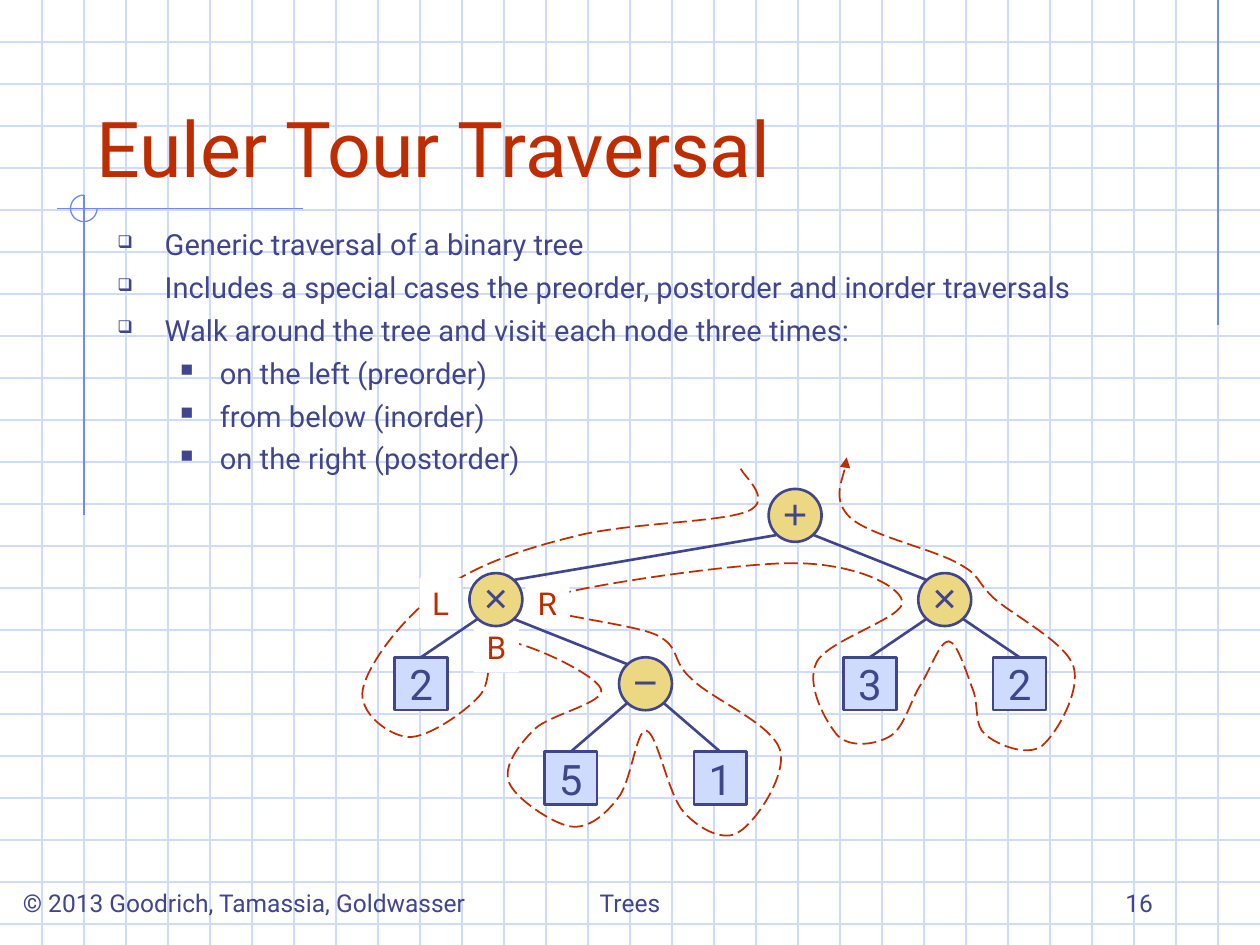
import lxml.etree
import pptx
import pptx.dml.color
import pptx.enum.dml
import pptx.enum.shapes
import pptx.enum.text
import pptx.oxml.ns
import pptx.util

Pt = pptx.util.Pt
RGB = pptx.dml.color.RGBColor.from_string
qn = pptx.oxml.ns.qn
Kind = pptx.enum.shapes.MSO_SHAPE
Align = pptx.enum.text.PP_ALIGN
Anchor = pptx.enum.text.MSO_ANCHOR


class Theme:
    ink = RGB("40458C")
    red = RGB("BE2D00")
    grid = RGB("CFDBFD")
    trim = RGB("6F89F7")
    gold = RGB("ECD882")
    white = RGB("FFFFFF")
    font = "Roboto"
    sign = "Arial"
    title = 44
    node = 24
    label = 18
    body = 16.65
    foot = 14


def write(shape, text, size, color=Theme.ink, font=Theme.font, align=Align.LEFT,
          anchor=Anchor.TOP, inset=(7.2, 3.6, 7.2, 3.6), wrap=True):
    """Add one paragraph to the shape, reusing the first while it is empty."""
    frame = shape.text_frame
    frame.word_wrap = wrap
    frame.vertical_anchor = anchor
    frame.margin_left, frame.margin_top, frame.margin_right, frame.margin_bottom = map(Pt, inset)
    para = frame.add_paragraph() if frame.text else frame.paragraphs[0]
    para.alignment = align
    run = para.add_run()
    run.text = text
    run.font.size = Pt(size)
    run.font.name = font
    run.font.color.rgb = color
    return para


def rule(host, x1, y1, x2, y2, color, width=0.75):
    """Draw one straight line without a shadow."""
    line = host.add_connector(pptx.enum.shapes.MSO_CONNECTOR.STRAIGHT,
                              Pt(x1), Pt(y1), Pt(x2), Pt(y2))
    line.line.color.rgb = color
    line.line.width = Pt(width)
    lxml.etree.SubElement(line.element.spPr, qn("a:effectLst"))


deck = pptx.Presentation()
wide, high = 720, 540
deck.slide_width, deck.slide_height = Pt(wide), Pt(high)
slide = deck.slides.add_slide(deck.slide_layouts[6])
shapes = slide.shapes

# Graph paper
back = shapes.add_group_shape().shapes
step = 24
for y in range(step, high, step):
    rule(back, 0, y, wide, y, Theme.grid)
for x in range(step, wide, step):
    rule(back, x, 0, x, high, Theme.grid)

# Margin rules and ring
rule(back, 696, 0, 696, 186, Theme.trim)
rule(back, 173, 119.3, 32.5, 119.3, Theme.trim)
rule(back, 48, 111.5, 48, 294.5, Theme.trim)
ring = back.add_shape(Kind.ARC, Pt(40.3), Pt(111.5), Pt(15.2), Pt(15.2))
ring.adjustments[0], ring.adjustments[1] = 0, 162  # clockwise from right to top
ring.shadow.inherit = False
ring.fill.background()
ring.line.color.rgb = Theme.trim
ring.line.width = Pt(0.75)

# Title
box = shapes.add_textbox(Pt(48), Pt(24), Pt(612), Pt(90))
write(box, "Euler Tour Traversal", Theme.title, Theme.red, anchor=Anchor.BOTTOM)

# Bullets
items = [
    (0, "Generic traversal of a binary tree"),
    (0, "Includes a special cases the preorder, postorder and inorder traversals"),
    (0, "Walk around the tree and visit each node three times:"),
    (1, "on the left (preorder)"),
    (1, "from below (inorder)"),
    (1, "on the right (postorder)"),
]
marks = [("❑", 27, -27), ("■", 58.5, -22.5)]
box = shapes.add_textbox(Pt(60), Pt(126), Pt(624), Pt(168))
for level, text in items:
    para = write(box, text, Theme.body)
    para.level = level
    para.space_before = Pt(4.5)
    mark, left, hang = marks[level]
    props = para._p.get_or_add_pPr()
    props.set("marL", str(Pt(left)))
    props.set("indent", str(Pt(hang)))
    tint = lxml.etree.SubElement(props, qn("a:buClr"))
    lxml.etree.SubElement(tint, qn("a:srgbClr"), val=str(Theme.ink))
    lxml.etree.SubElement(props, qn("a:buSzPct"), val="60000")
    lxml.etree.SubElement(props, qn("a:buChar"), char=mark)

# Tour: each bend has two handles and a knot, in units of 0.72 points
unit = 0.72
start = (588, 372)
bends = [
    (589, 377, 615, 397, 593, 406), (570, 415, 496, 415, 455, 426),
    (414, 436, 376, 449, 348, 470), (320, 490, 292, 527, 288, 547),
    (284, 566, 309, 584, 324, 585), (339, 586, 368, 566, 380, 553),
    (393, 540, 383, 510, 399, 509), (415, 508, 473, 535, 477, 547),
    (481, 558, 436, 567, 424, 579), (412, 591, 399, 608, 404, 621),
    (409, 634, 439, 654, 453, 656), (467, 658, 480, 647, 490, 634),
    (501, 622, 505, 578, 513, 580), (522, 582, 530, 631, 543, 645),
    (555, 658, 575, 669, 587, 660), (600, 652, 625, 615, 619, 595),
    (612, 574, 565, 555, 549, 539), (532, 524, 541, 514, 521, 504),
    (500, 494, 409, 486, 427, 477), (445, 467, 581, 447, 629, 447),
    (677, 447, 713, 464, 716, 477), (720, 490, 656, 508, 648, 526),
    (639, 544, 656, 574, 665, 584), (675, 594, 696, 591, 707, 584),
    (718, 577, 723, 555, 731, 543), (739, 530, 746, 509, 753, 509),
    (760, 510, 767, 534, 772, 547), (777, 559, 773, 576, 782, 583),
    (791, 591, 815, 601, 827, 592), (839, 582, 858, 548, 852, 529),
    (846, 510, 805, 489, 789, 475), (774, 461, 779, 457, 760, 447),
    (741, 436, 690, 425, 675, 411), (660, 397, 672, 373, 672, 363),
]
dots = [start] + [bend[i:i + 2] for bend in bends for i in (0, 2, 4)]
spots = [(Pt(x * unit), Pt(y * unit)) for x, y in dots]
pen = shapes.build_freeform(*spots[0])
pen.add_line_segments(spots[1:], close=False)
tour = pen.convert_to_shape()
# Join every three segments into one Bezier curve
trail = tour.element.spPr.find(".//" + qn("a:path"))
legs = trail.findall(qn("a:lnTo"))
for i in range(0, len(legs), 3):
    curve = lxml.etree.SubElement(trail, qn("a:cubicBezTo"))
    for leg in legs[i:i + 3]:
        curve.append(leg[0])
        trail.remove(leg)
tour.shadow.inherit = False
tour.fill.background()
tour.line.color.rgb = Theme.red
tour.line.width = Pt(1)
tour.line.dash_style = pptx.enum.dml.MSO_LINE.LONG_DASH
lxml.etree.SubElement(tour.element.spPr.find(qn("a:ln")), qn("a:tailEnd"), type="triangle")

# Visit labels
for text, x, y, w in [("L", 239.8, 330.2, 23.8), ("B", 270.7, 355.4, 25.9),
                      ("R", 300.2, 330.2, 25.2)]:
    box = shapes.add_textbox(Pt(x), Pt(y), Pt(w), Pt(28.8))
    box.fill.solid()
    box.fill.fore_color.rgb = Theme.white
    write(box, text, Theme.label, Theme.red, align=Align.CENTER, wrap=False)

# Tree: sign, column, row and parent of each node
nodes = [
    ("+", 5, 0, None), ("×", 1, 1, 0), ("×", 7, 1, 0), ("2", 0, 2, 1), ("−", 3, 2, 1),
    ("3", 6, 2, 2), ("2", 8, 2, 2), ("5", 2, 3, 4), ("1", 4, 3, 4),
]
rows = [294.5, 342.6, 390.7, 444.7]
spot = [(240.6 + 42.75 * col, rows[row]) for _, col, row, _ in nodes]
side = 30.24
dx, dy = 10.7, 11.3
for (sign, _, _, root), (x, y) in zip(nodes, spot):
    leaf = sign.isdigit()
    if root is not None:
        px, py = spot[root]
        way = 1 if x > px else -1
        end = (x, y - side / 2) if leaf else (x - way * dx, y - dy)
        rule(shapes, px + way * dx, py + dy, *end, Theme.ink, 1.5)
    node = shapes.add_shape(Kind.RECTANGLE if leaf else Kind.OVAL,
                            Pt(x - side / 2), Pt(y - side / 2), Pt(side), Pt(side))
    node.shadow.inherit = False
    node.fill.solid()
    node.fill.fore_color.rgb = Theme.grid if leaf else Theme.gold
    node.line.color.rgb = Theme.ink
    node.line.width = Pt(1.5)
    write(node, sign, Theme.node, font=Theme.font if leaf else Theme.sign,
          align=Align.CENTER, anchor=Anchor.MIDDLE, wrap=False,
          inset=(7.2, 3.6, 7.2, 3.6) if leaf else (0, 0, 0, 3.6))

# Footer
for text, x, w, align in [
    ("© 2013 Goodrich, Tamassia, Goldwasser", 6, 282, Align.LEFT),
    ("Trees", 246, 228, Align.CENTER),
    ("16", 516, 150, Align.RIGHT),
]:
    box = shapes.add_textbox(Pt(x), Pt(492), Pt(w), Pt(36))
    write(box, text, Theme.foot, align=align, anchor=Anchor.BOTTOM)

deck.save("out.pptx")
